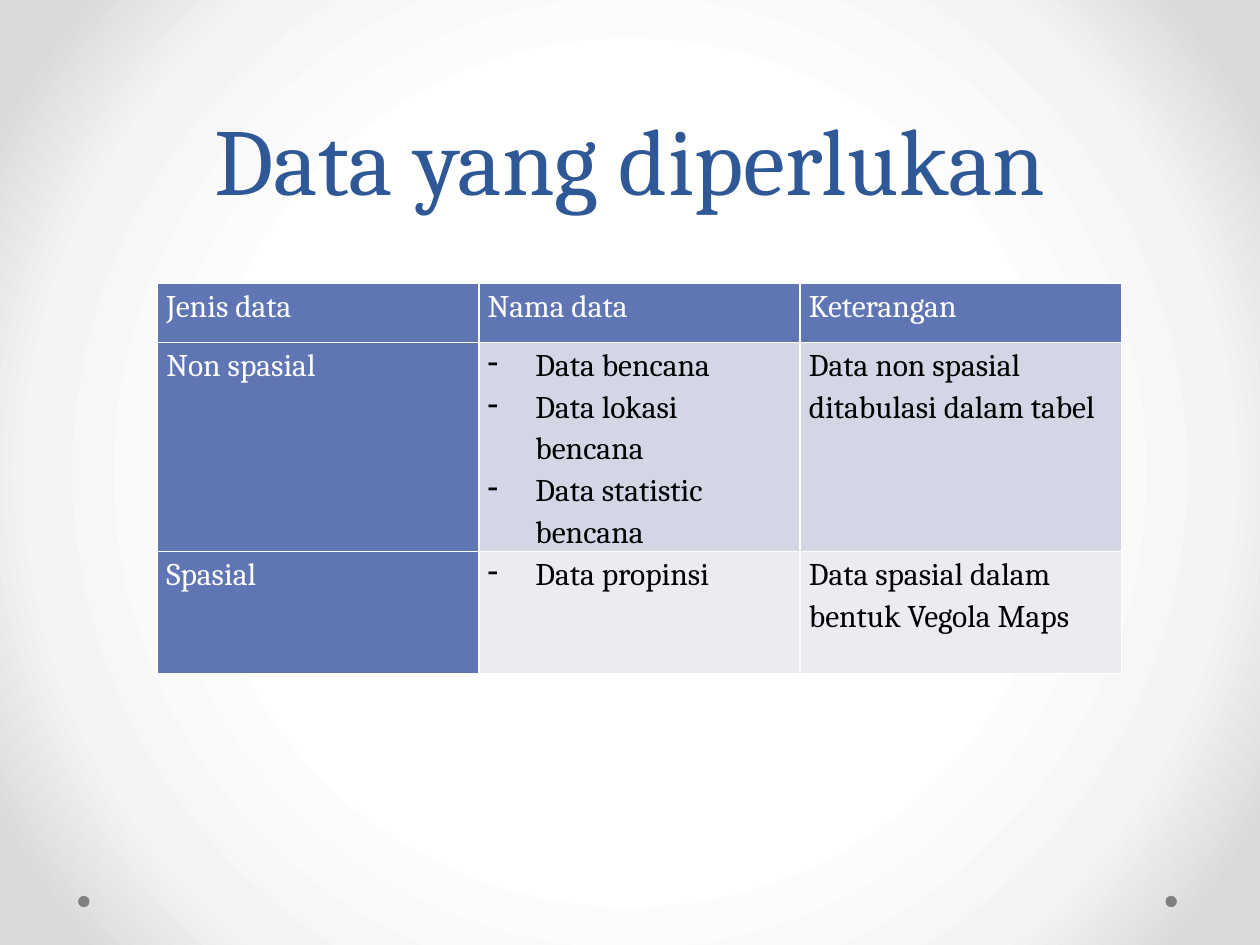
from pptx import Presentation
from pptx.dml.color import RGBColor as Rgb
from pptx.enum.shapes import MSO_SHAPE as Kind
from pptx.enum.text import MSO_ANCHOR as Anchor, MSO_AUTO_SIZE as Auto, PP_ALIGN as Align
from pptx.oxml import parse_xml
from pptx.oxml.ns import nsdecls, qn
from pptx.util import Inches, Pt
from lxml.etree import SubElement as Sub


def color(code):
    return Rgb.from_string(code)


class Deck:
    font = "Cambria"
    blue = "6076B4"
    white = "FFFFFF"
    black = "000000"
    bands = ("D2D6E5", "EAECF2")

    def __init__(self, wide, high):
        self.file = Presentation()
        self.file.slide_width = Inches(wide)
        self.file.slide_height = Inches(high)
        self.slide = self.file.slides.add_slide(self.file.slide_layouts[5])

    def back(self, stops):
        marks = "".join(
            f'<a:gs pos="{pos * 1000}"><a:srgbClr val="{code}"/></a:gs>'
            for pos, code in stops)
        self.slide.element.cSld.insert(0, parse_xml(
            f'<p:bg {nsdecls("p", "a")}><p:bgPr><a:gradFill rotWithShape="1">'
            f'<a:gsLst>{marks}</a:gsLst><a:path path="circle">'
            '<a:fillToRect l="50000" t="50000" r="50000" b="50000"/></a:path>'
            '</a:gradFill><a:effectLst/></p:bgPr></p:bg>'))

    def run(self, para, text, size, code):
        run = para.add_run()
        run.text = text
        run.font.name = self.font
        run.font.size = Pt(size)
        run.font.bold = False
        run.font.color.rgb = color(code)

    def title(self, text, left, top, wide, high):
        box = self.slide.shapes.title
        box.left, box.top = Inches(left), Inches(top)
        box.width, box.height = Inches(wide), Inches(high)
        frame = box.text_frame
        frame.word_wrap = True
        frame.auto_size = Auto.NONE
        frame.vertical_anchor = Anchor.BOTTOM
        para = frame.paragraphs[0]
        para.alignment = Align.CENTER
        para.line_spacing = Pt(58)
        self.run(para, text, 54, "2F5897")

    def dot(self, left, top, size):
        dot = self.slide.shapes.add_shape(
            Kind.OVAL, Inches(left), Inches(top), Inches(size), Inches(size))
        dot.shadow.inherit = False
        dot.fill.solid()
        dot.fill.fore_color.rgb = color("808080")
        dot.line.fill.background()

    def border(self, cell):
        props = cell._tc.get_or_add_tcPr()
        for spot, side in enumerate("LRTB"):
            props.insert(spot, parse_xml(
                f'<a:ln{side} {nsdecls("a")} w="12700"><a:solidFill>'
                f'<a:srgbClr val="{self.white}"/></a:solidFill></a:ln{side}>'))

    def bullet(self, para):
        props = para._p.get_or_add_pPr()
        props.set("marL", str(Inches(0.38)))
        props.set("indent", str(-Inches(0.38)))
        Sub(props, qn("a:buChar")).set("char", "-")

    def cell(self, cell, text, fill, code):
        cell.margin_left = cell.margin_right = Inches(0.07)
        cell.margin_top = cell.margin_bottom = 0
        cell.fill.solid()
        cell.fill.fore_color.rgb = color(fill)
        self.border(cell)
        items = text if isinstance(text, list) else [text]
        frame = cell.text_frame
        for spot, item in enumerate(items):
            para = frame.add_paragraph() if spot else frame.paragraphs[0]
            para.line_spacing = 1.15
            if text is items:
                self.bullet(para)
            self.run(para, item, 18, code)

    def table(self, rows, left, top, wide, highs):
        count = len(rows[0])
        table = self.slide.shapes.add_table(
            len(rows), count, Inches(left), Inches(top),
            Inches(wide * count), Inches(sum(highs))).table
        for col in table.columns:
            col.width = Inches(wide)
        for r, (row, high) in enumerate(zip(rows, highs)):
            table.rows[r].height = Inches(high)
            for c, text in enumerate(row):
                head = r == 0 or c == 0
                fill = self.blue if head else self.bands[(r - 1) % 2]
                code = self.white if head else self.black
                self.cell(table.cell(r, c), text, fill, code)


def main():
    deck = Deck(10, 7.5)
    deck.back([(50, "FFFFFF"), (76, "F4F4F4"), (92, "DADADA")])
    for left in (9.25, 0.62):
        deck.dot(left, 7.11, 0.09)
    deck.title("Data yang diperlukan", 0.5, 0, 9, 1.75)
    rows = [
        ["Jenis data", "Nama data", "Keterangan"],
        ["Non spasial",
         ["Data bencana", "Data lokasi bencana", "Data statistic bencana"],
         "Data non spasial ditabulasi dalam tabel"],
        ["Spasial", ["Data propinsi"], "Data spasial dalam bentuk Vegola Maps"],
    ]
    deck.table(rows, 1.25, 2.25, 2.55, [0.47, 1.47, 0.97])
    deck.file.save("out.pptx")


if __name__ == "__main__":
    main()
